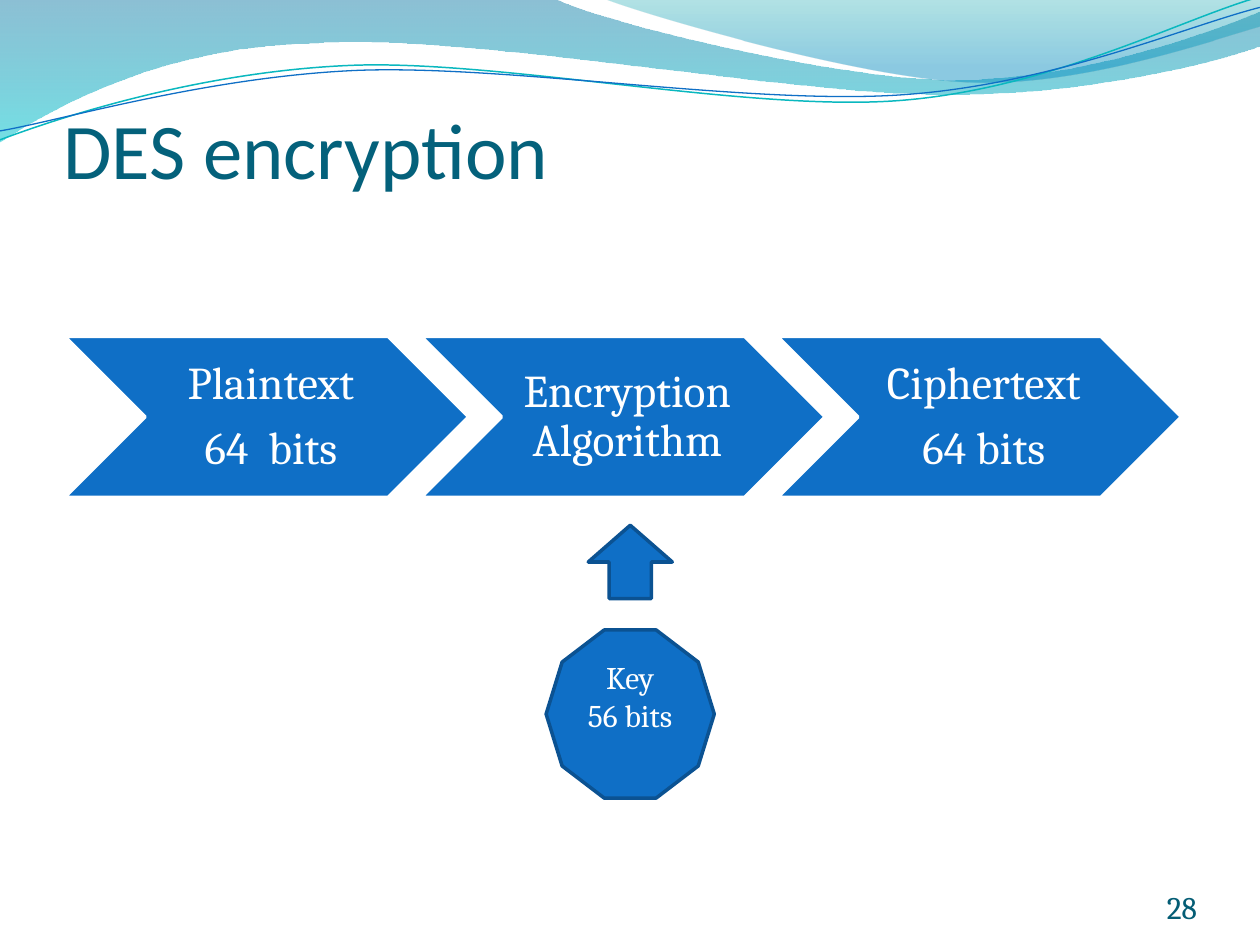
from lxml import etree
from pptx import Presentation
from pptx.dml.color import RGBColor
from pptx.enum.shapes import MSO_SHAPE
from pptx.enum.text import MSO_ANCHOR, MSO_AUTO_SIZE, PP_ALIGN
from pptx.oxml.ns import qn
from pptx.util import Cm, Pt

CHEVRON, UP_ARROW, DECAGON = MSO_SHAPE.CHEVRON, MSO_SHAPE.UP_ARROW, MSO_SHAPE.DECAGON
MIDDLE, BOTTOM = MSO_ANCHOR.MIDDLE, MSO_ANCHOR.BOTTOM
LEFT, CENTER, RIGHT = PP_ALIGN.LEFT, PP_ALIGN.CENTER, PP_ALIGN.RIGHT
NO_AUTOFIT = MSO_AUTO_SIZE.NONE

TITLE_LAYOUT = 5
BLUE, DARK_BLUE, WHITE = "0F6FC6", "0B5292", "FFFFFF"

# Outlines in cm: one point is a straight step, three points are a Bézier step.
BANDS = [
    ([[(0, 0)], [(11.18, -0.03)], [(12.09, 0.43), (16.87, 1.6), (19.25, 1.6)],
      [(21.79, 1.6), (24.33, 0.66), (25.4, 0.23)], [(25.43, 0.91)],
      [(24.97, 1.12), (22.1, 1.93), (18.95, 1.9)],
      [(15.8, 1.9), (9.7, 0.71), (6.53, 0.86)],
      [(3.28, 0.91), (1.17, 2.11), (-0.03, 2.87)]],
     [(0, "0074A1", 45), (1, "00C6CF", 55)]),
    ([[(12.17, -0.03)], [(12.93, 0.28), (17.32, 1.57), (19.53, 1.65)],
      [(21.74, 1.75), (24.41, 0.81), (25.4, 0.53)], [(25.4, 0)]],
     [(0, "00A1A9", 30), (0.8, "008BBF", 45)]),
]
STRANDS = [
    ([[(0, 2.82)], [(1.22, 2.36), (4.01, 1.45), (7.04, 1.32)],
      [(10.03, 1.19), (15.06, 2.26), (18.11, 2.03)],
      [(21.16, 1.8), (23.83, 0.38), (25.35, -0.05)]], "0AB8BF", 0.85),
    ([[(0, 2.64)], [(1.19, 2.44), (4.17, 1.55), (7.19, 1.42)],
      [(10.24, 1.3), (15.16, 2.13), (18.21, 1.91)],
      [(21.23, 1.7), (23.9, 0.53), (25.4, 0.15)]], BLUE, 0.75),
]


def color(hex_string):
    return RGBColor.from_string(hex_string)


def write(frame, lines, font_name, size, text_color, alignment):
    for index, line in enumerate(lines):
        paragraph = frame.paragraphs[0] if index == 0 else frame.add_paragraph()
        paragraph.alignment = alignment
        run = paragraph.add_run()
        run.text = line
        run.font.name = font_name
        run.font.size = Pt(size)
        run.font.color.rgb = color(text_color)


def set_frame(frame, anchor, left=0, top=0, right=0, bottom=0):
    """Set the anchor and the insets in cm."""
    frame.word_wrap = True
    frame.auto_size = NO_AUTOFIT
    frame.vertical_anchor = anchor
    frame.margin_left, frame.margin_top = Cm(left), Cm(top)
    frame.margin_right, frame.margin_bottom = Cm(right), Cm(bottom)


def add_preset(slide, preset, box, line_color):
    shape = slide.shapes.add_shape(preset, *(Cm(length) for length in box))
    shape.shadow.inherit = False
    shape.fill.solid()
    shape.fill.fore_color.rgb = color(BLUE)
    shape.line.color.rgb = color(line_color)
    shape.line.width = Pt(2)
    return shape


def add_outline(slide, outline, left, top, close):
    """Build a freeform through the end points, then bend its Bézier steps."""
    steps = [[(Cm(left + x), Cm(top + y)) for x, y in step] for step in outline]
    builder = slide.shapes.build_freeform(*steps[0][0])
    builder.add_line_segments([step[-1] for step in steps[1:]], close=close)
    shape = builder.convert_to_shape()
    shape.shadow.inherit = False
    segments = list(shape._element.iter(qn("a:lnTo")))
    for segment, step in zip(segments, steps[1:]):
        if len(step) == 3:
            curve = etree.Element(qn("a:cubicBezTo"))
            for x, y in step:
                etree.SubElement(curve, qn("a:pt"),
                                 x=str(x - shape.left), y=str(y - shape.top))
            segment.getparent().replace(segment, curve)
    return shape


def add_waves(slide, left, top):
    for outline, stops in BANDS:
        band = add_outline(slide, outline, left, top, close=True)
        band.line.fill.background()
        band.fill.gradient()
        band.fill.gradient_angle = 270
        for stop, (position, stop_color, _) in zip(band.fill.gradient_stops, stops):
            stop.position = position
            stop.color.rgb = color(stop_color)
        for element, (_, _, opacity) in zip(band._element.iter(qn("a:srgbClr")), stops):
            etree.SubElement(element, qn("a:alpha"), val=str(opacity * 1000))
    for outline, line_color, width in STRANDS:
        strand = add_outline(slide, outline, left, top, close=False)
        strand.fill.background()
        strand.line.color.rgb = color(line_color)
        strand.line.width = Pt(width)


def add_title(slide, text, box):
    title = slide.shapes.title
    title.left, title.top, title.width, title.height = (Cm(length) for length in box)
    slide.shapes._spTree.append(title._element)  # in front of the waves
    set_frame(title.text_frame, BOTTOM, top=0.13)
    write(title.text_frame, [text], "Calibri", 45, "04617B", LEFT)


def add_process(slide, steps, box):
    """Spread overlapping chevrons evenly over the box, each with its label."""
    left, top, width, height = box
    step_width = 8.15
    pitch = (width - step_width) / (len(steps) - 1)
    for index, lines in enumerate(steps):
        step_left = left + index * pitch
        add_preset(slide, CHEVRON, (step_left, top, step_width, height), WHITE)
        label_box = (step_left + height / 2, top, step_width - height, height)
        label = slide.shapes.add_textbox(*(Cm(length) for length in label_box))
        set_frame(label.text_frame, MIDDLE, 0.28, 0.1, 0.1, 0.1)
        write(label.text_frame, lines, "Cambria", 26, WHITE, CENTER)
        for paragraph in label.text_frame.paragraphs:
            paragraph.line_spacing = 0.9
            paragraph.space_after = Pt(9)


def add_key(slide, lines, box):
    """Place the arrow at the top of the box and the key at its bottom."""
    left, top, width, height = box
    arrow_width, arrow_height = width / 2, 1.48
    add_preset(slide, UP_ARROW, (left + (width - arrow_width) / 2, top,
                                 arrow_width, arrow_height), DARK_BLUE)
    key = add_preset(slide, DECAGON, (left, top + height - width, width, width), DARK_BLUE)
    set_frame(key.text_frame, MIDDLE, 0.25, 0.13, 0.25, 0.87)
    write(key.text_frame, lines, "Cambria", 18, WHITE, CENTER)


def add_page_number(slide, number, box):
    text_box = slide.shapes.add_textbox(*(Cm(length) for length in box))
    set_frame(text_box.text_frame, BOTTOM)
    write(text_box.text_frame, [number], "Cambria", 18, "045D75", RIGHT)


def main():
    presentation = Presentation()
    presentation.slide_width, presentation.slide_height = Cm(25.4), Cm(19.05)
    slide = presentation.slides.add_slide(presentation.slide_layouts[TITLE_LAYOUT])
    add_waves(slide, 0, 0)
    add_title(slide, "DES encryption", (1.27, 1.96, 22.86, 1.98))
    add_process(slide, [["Plaintext", "64  bits"], ["Encryption Algorithm"],
                        ["Ciphertext", "64 bits"]], (1.3, 6.78, 22.52, 3.25))
    add_page_number(slide, "28", (22.02, 17.65, 2.11, 1.02))
    add_key(slide, ["Key", "56 bits"], (11.01, 10.59, 3.39, 5.5))
    presentation.save("out.pptx")


if __name__ == "__main__":
    main()
